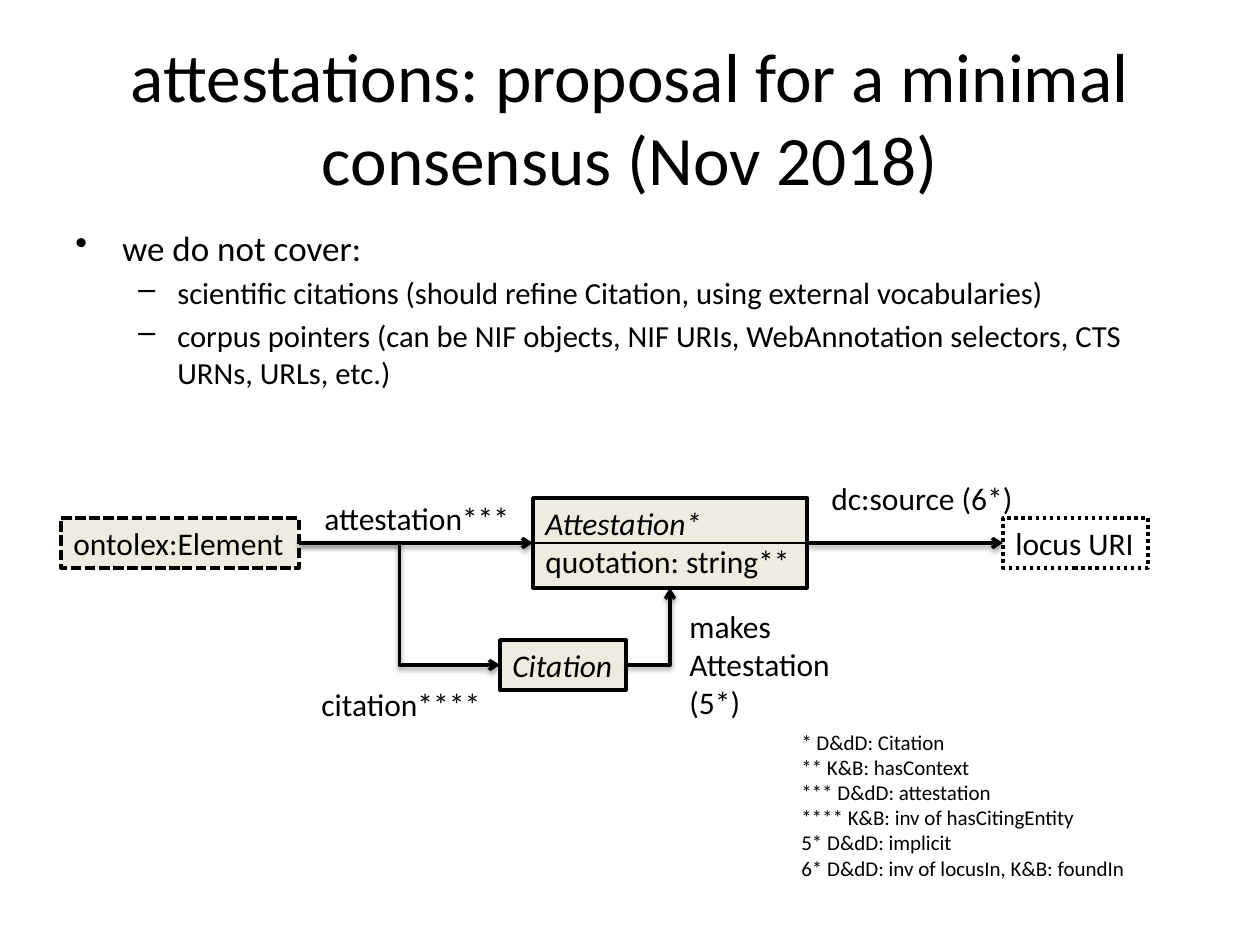
from dataclasses import dataclass

from lxml import etree
from pptx import Presentation
from pptx.dml.color import RGBColor
from pptx.enum.dml import MSO_LINE
from pptx.enum.shapes import MSO_CONNECTOR, MSO_SHAPE
from pptx.enum.text import MSO_ANCHOR, MSO_AUTO_SIZE, PP_ALIGN
from pptx.oxml import parse_xml
from pptx.oxml.ns import nsdecls, qn
from pptx.util import Emu, Pt

RECT = MSO_SHAPE.RECTANGLE
STRAIGHT, ELBOW = MSO_CONNECTOR.STRAIGHT, MSO_CONNECTOR.ELBOW
DASH, DOT = MSO_LINE.SQUARE_DOT, MSO_LINE.ROUND_DOT
TOP, MIDDLE = MSO_ANCHOR.TOP, MSO_ANCHOR.MIDDLE
LEFT, CENTER = PP_ALIGN.LEFT, PP_ALIGN.CENTER
FIT, FIXED = MSO_AUTO_SIZE.SHAPE_TO_FIT_TEXT, MSO_AUTO_SIZE.NONE
BOTTOM_SITE, LEFT_SITE, RIGHT_SITE = 2, 1, 3


@dataclass(frozen=True)
class Theme:
    font: str = "Calibri"
    ink: RGBColor = RGBColor(0, 0, 0)
    sand: RGBColor = RGBColor(0xEE, 0xEC, 0xE1)
    title: float = 39.6
    lead: float = 20
    item: float = 17.5
    label: float = 18
    note: float = 12
    edge: float = 2
    rule: float = 0.75


theme = Theme()
SCALE = 914400 / 126  # EMU per px


def px(*nums):
    return [Emu(round(n * SCALE)) for n in nums]


def write(frame, lines, size, slant=()):
    """Fill a frame with one paragraph a line; slant holds the italic lines."""
    frame.text = "\n".join(lines)
    for line, para in zip(lines, frame.paragraphs):
        para.alignment = LEFT
        para.font.name = theme.font
        para.font.size = Pt(size)
        para.font.color.rgb = theme.ink
        para.font.italic = line in slant


deck = Presentation()
deck.slide_width, deck.slide_height = px(1260, 945)
slide = deck.slides.add_slide(deck.slide_layouts[5])
shapes = slide.shapes

# Title
title = shapes.title
title.left, title.top, title.width, title.height = px(63, 38, 1134, 157)
write(title.text_frame, ["attestations: proposal for a minimal consensus (Nov 2018)"], theme.title)
title.text_frame.paragraphs[0].alignment = CENTER
title.text_frame.vertical_anchor = MIDDLE
title.text_frame.auto_size = FIXED

# Bullets: text, size, bullet, indent, hanging
items = [
    ("we do not cover:", theme.lead, "•", 47, 47),
    ("scientific citations (should refine Citation, using external vocabularies)",
     theme.item, "–", 102, 39),
    ("corpus pointers (can be NIF objects, NIF URIs, WebAnnotation selectors, "
     "CTS URNs, URLs, etc.)", theme.item, "–", 102, 39),
]
body = shapes.add_textbox(*px(63, 220, 1134, 163)).text_frame
body.word_wrap = True
write(body, [item[0] for item in items], theme.item)
for para, (_, size, mark, indent, hang) in zip(body.paragraphs, items):
    para.font.size = Pt(size)
    para.space_before = Pt(size / 5)
    para.level = 0 if mark == "•" else 1
    props = para._p.get_or_add_pPr()
    margin, back = px(indent, -hang)
    props.set("marL", str(margin))
    props.set("indent", str(back))
    bullet = etree.Element(qn("a:buChar"), char=mark)
    props.find(qn("a:spcBef")).addnext(bullet)

# Boxes: name, place, lines, fill, dash
boxes = {}
for name, place, lines, fill, dash in [
    ("element", (61, 518, 238, 50), ["ontolex:Element"], theme.sand, DASH),
    ("attest", (533, 498, 274, 90), ["Attestation*", "quotation: string**"], theme.sand, None),
    ("cite", (500, 640, 126, 50), ["Citation"], theme.sand, None),
    ("locus", (1003, 518, 145, 50), ["locus URI"], None, DOT),
]:
    box = boxes[name] = shapes.add_shape(RECT, *px(*place))
    box.shadow.inherit = False
    if fill is None:
        box.fill.background()
    else:
        box.fill.solid()
        box.fill.fore_color.rgb = fill
    box.line.color.rgb = theme.ink
    box.line.width = Pt(theme.edge)
    if dash:
        box.line.dash_style = dash
    frame = box.text_frame
    frame.word_wrap = False
    frame.vertical_anchor = TOP
    frame.auto_size = FIT
    write(frame, lines, theme.label, ("Attestation*", "Citation"))

# Arrows: kind, preset, from, to, end site
for kind, preset, start, end, site in [
    (STRAIGHT, "line", "element", "attest", LEFT_SITE),
    (STRAIGHT, "line", "attest", "locus", LEFT_SITE),
    (ELBOW, "bentConnector3", "element", "cite", LEFT_SITE),
    (ELBOW, "bentConnector2", "cite", "attest", BOTTOM_SITE),
]:
    arrow = shapes.add_connector(kind, 0, 0, 0, 0)
    arrow.begin_connect(boxes[start], RIGHT_SITE)
    arrow.end_connect(boxes[end], site)
    arrow.line.color.rgb = theme.ink
    arrow.line.width = Pt(theme.edge)
    props = arrow._element.spPr
    props.find(qn("a:prstGeom")).set("prst", preset)
    etree.SubElement(props.find(qn("a:ln")), qn("a:tailEnd"), type="arrow")
    props.append(parse_xml(
        f'<a:effectLst {nsdecls("a")}><a:outerShdw blurRad="39370" dist="20320" '
        'dir="5400000" rotWithShape="0"><a:srgbClr val="000000">'
        '<a:alpha val="38000"/></a:srgbClr></a:outerShdw></a:effectLst>'))

# Rule inside the Attestation box
rule = shapes.add_connector(STRAIGHT, *px(533, 543, 807, 543))
rule.line.color.rgb = theme.ink
rule.line.width = Pt(theme.rule)
etree.SubElement(rule._element.spPr, qn("a:effectLst"))

# Labels and notes
for place, size, lines in [
    ((312, 493, 213, 50), theme.label, ["attestation***"]),
    ((819, 473, 209, 50), theme.label, ["dc:source (6*)"]),
    ((309, 679, 186, 50), theme.label, ["citation****"]),
    ((677, 601, 168, 127), theme.label, ["makes", "Attestation", "(5*)"]),
    ((789, 723, 352, 165), theme.note, [
        "* D&dD: Citation",
        "** K&B: hasContext",
        "*** D&dD: attestation",
        "**** K&B: inv of hasCitingEntity",
        "5* D&dD: implicit",
        "6* D&dD: inv of locusIn, K&B: foundIn",
    ]),
]:
    frame = shapes.add_textbox(*px(*place)).text_frame
    frame.word_wrap = False
    frame.auto_size = FIT
    write(frame, lines, size)

deck.save("out.pptx")
